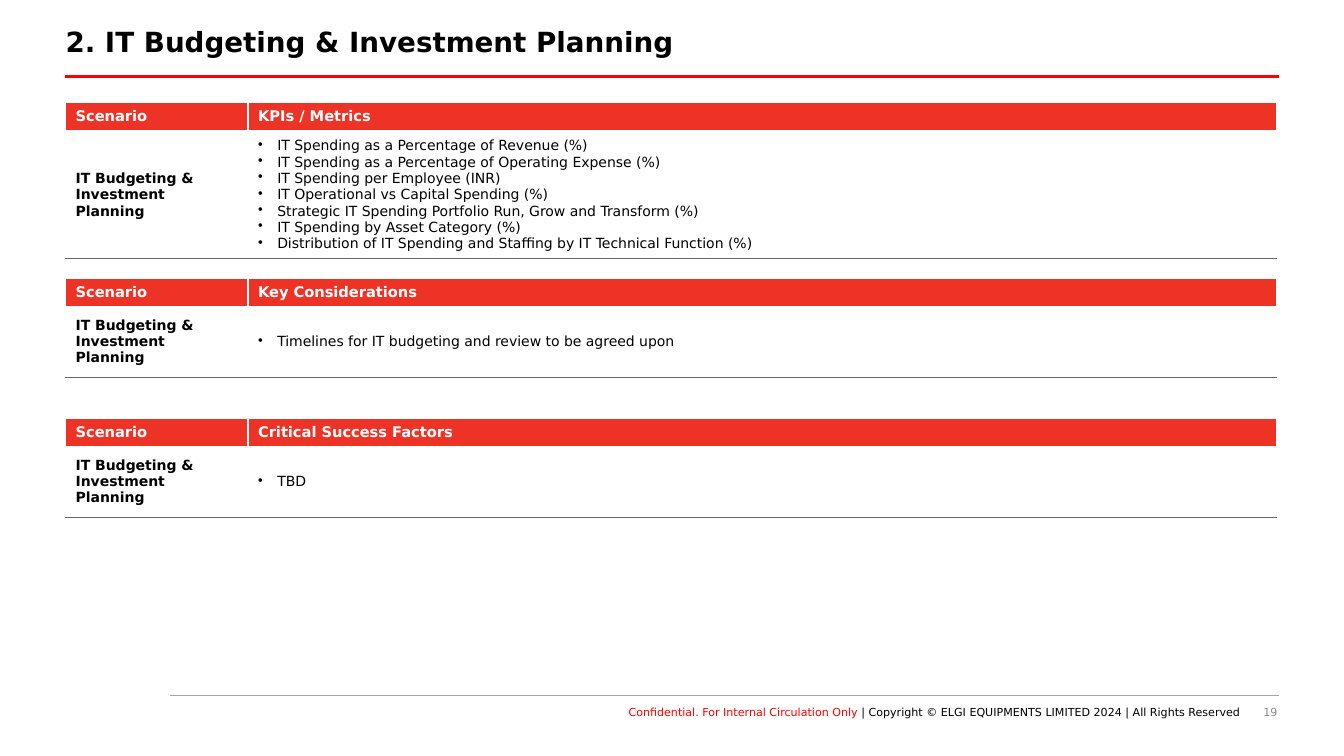
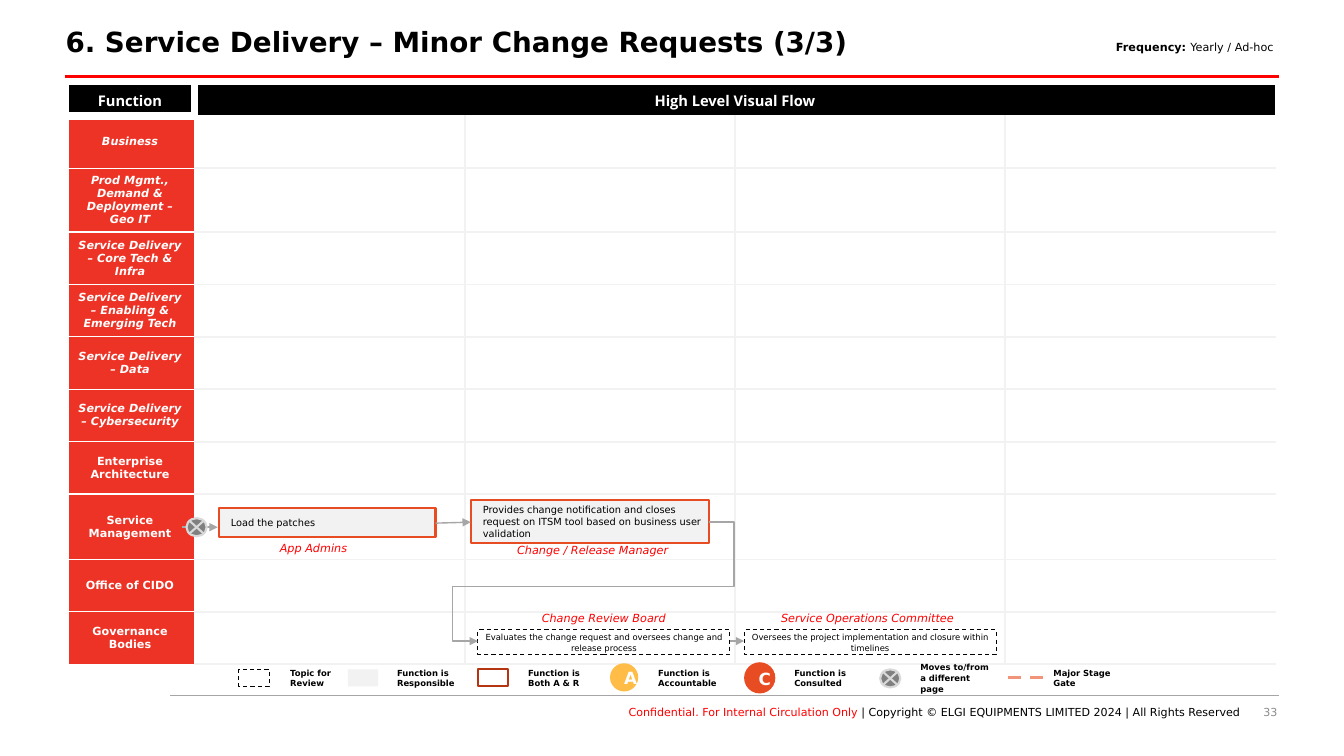
import lxml.etree
import pptx
import pptx.dml.color
import pptx.enum.dml
import pptx.enum.shapes
import pptx.enum.text
import pptx.oxml.ns
import pptx.util

Inches = pptx.util.Inches
Pt = pptx.util.Pt
SHAPE = pptx.enum.shapes.MSO_SHAPE
CONNECTOR = pptx.enum.shapes.MSO_CONNECTOR
ALIGN = pptx.enum.text.PP_ALIGN
MIDDLE = pptx.enum.text.MSO_ANCHOR.MIDDLE
DASH = pptx.enum.dml.MSO_LINE.DASH
qn = pptx.oxml.ns.qn

BLACK, WHITE, RED, BRAND = "000000", "FFFFFF", "FF0000", "ED3326"
ORANGE, RUST, AMBER, SALMON = "E84C22", "B53513", "FFBD47", "F1947A"
PALE, SILVER, GRAY, MID, RULE = "F2F2F2", "D9D9D9", "A6A6A6", "808080", "666666"
BODY_FONT, HEAD_FONT = "DejaVu Sans", "Open Sans"


def rgb(value):
    return pptx.dml.color.RGBColor.from_string(value)


def add_xml(parent, tag, **attrs):
    return lxml.etree.SubElement(parent, qn(tag), {k: str(v) for k, v in attrs.items()})


def write(tf, *paragraphs, size=8, color=BLACK, bold=False, italic=False,
          font=BODY_FONT, align=ALIGN.LEFT, spacing=None, bullet=False):
    for i, runs in enumerate(paragraphs):
        p = tf.paragraphs[0] if i == 0 else tf.add_paragraph()
        if bullet:
            pPr = p._p.get_or_add_pPr()
            pPr.set("marL", str(Inches(0.19)))
            pPr.set("indent", str(-Inches(0.19)))
            add_xml(pPr, "a:buChar", char="•")
        p.alignment = align
        if spacing:
            p.line_spacing = spacing
        for text, change in [(runs, {})] if isinstance(runs, str) else runs:
            r = p.add_run()
            r.text = text
            r.font.name = font
            r.font.size = Pt(size)
            r.font.italic = italic
            r.font.bold = change.get("bold", bold)
            r.font.color.rgb = rgb(change.get("color", color))


def set_borders(cell, **sides):
    tcPr = cell._tc.get_or_add_tcPr()
    position = 0
    for side in "LRTB":
        if side not in sides:
            continue
        color, width = sides[side]
        ln = add_xml(tcPr, "a:ln" + side, w=Pt(width))
        add_xml(add_xml(ln, "a:solidFill"), "a:srgbClr", val=color)
        tcPr.insert(position, ln)
        position += 1


class Deck:
    def __init__(self):
        self.prs = pptx.Presentation()
        self.prs.slide_width = Inches(13.33)
        self.prs.slide_height = Inches(7.5)
        self.s = None

    def new_slide(self, title, number):
        self.s = self.prs.slides.add_slide(self.prs.slide_layouts[6])
        self.text(9.67, 7, 3, 0.2, str(number), size=7.9, color="8C8C8C",
                  align=ALIGN.RIGHT, insets=(0, 0, 0, 0))
        self.text(2.46, 7, 9.84, 0.2,
                  [("Confidential. For Internal Circulation Only ", {"color": RED}),
                   ("| Copyright © ELGI EQUIPMENTS LIMITED 2024 | All Rights Reserved", {})],
                  size=7.9, align=ALIGN.RIGHT, insets=(0, 0, 0, 0))
        self.line((1.69, 6.9), (12.69, 6.9), GRAY, 0.5)
        self.line((0.64, 0.76), (12.69, 0.76), RED, 2.25)
        self.text(0.65, 0.23, 12.01, 0.41, title, size=19.8, bold=True,
                  spacing=0.9, insets=(0, 0.05, 0.1, 0.05))

    def frame(self, tf, insets, anchor=None, wrap=True):
        tf.word_wrap = wrap
        (tf.margin_left, tf.margin_top,
         tf.margin_right, tf.margin_bottom) = map(Inches, insets)
        if anchor is not None:
            tf.vertical_anchor = anchor

    def text(self, x, y, w, h, *paragraphs, insets=(0.1, 0.05, 0.1, 0.05),
             anchor=None, wrap=True, **fmt):
        sp = self.s.shapes.add_textbox(Inches(x), Inches(y), Inches(w), Inches(h))
        self.frame(sp.text_frame, insets, anchor, wrap)
        write(sp.text_frame, *paragraphs, **fmt)

    def shape(self, kind, x, y, w, h, text=None, fill=None, line=None, width=1.5,
              dash=False, insets=(0.1, 0.1, 0.1, 0.1), **fmt):
        sp = self.s.shapes.add_shape(kind, Inches(x), Inches(y), Inches(w), Inches(h))
        sp.shadow.inherit = False
        if fill:
            sp.fill.solid()
            sp.fill.fore_color.rgb = rgb(fill)
        else:
            sp.fill.background()
        if line:
            sp.line.color.rgb = rgb(line)
            sp.line.width = Pt(width)
            if dash:
                sp.line.dash_style = DASH
        else:
            sp.line.fill.background()
        if text:
            self.frame(sp.text_frame, insets, MIDDLE)
            write(sp.text_frame, text, **fmt)

    def line(self, start, end, color=GRAY, width=1, dash=False, arrow=False, bends=None):
        kind = CONNECTOR.ELBOW if bends else CONNECTOR.STRAIGHT
        c = self.s.shapes.add_connector(kind, *map(Inches, start + end))
        c.line.color.rgb = rgb(color)
        c.line.width = Pt(width)
        if dash:
            c.line.dash_style = DASH
        spPr = c._element.spPr
        if arrow:
            add_xml(spPr.find(qn("a:ln")), "a:tailEnd", type="triangle")
        add_xml(spPr, "a:effectLst")
        if bends:
            geom = spPr.find(qn("a:prstGeom"))
            geom.set("prst", "bentConnector5")
            guides = geom.find(qn("a:avLst"))
            if guides is None:
                guides = add_xml(geom, "a:avLst")
            for i, value in enumerate(bends, 1):
                add_xml(guides, "a:gd", name=f"adj{i}", fmla=f"val {value}")

    def table(self, x, y, cols, rows):
        frame = self.s.shapes.add_table(len(rows), len(cols), Inches(x), Inches(y),
                                        Inches(sum(cols)), Inches(sum(rows)))
        table = frame.table
        table.first_row = table.horz_banding = False
        for column, width in zip(table.columns, cols):
            column.width = Inches(width)
        for row, height in zip(table.rows, rows):
            row.height = Inches(height)
        return table

    def cell(self, cell, *paragraphs, fill=None, borders=None, **fmt):
        cell.vertical_anchor = MIDDLE
        if fill:
            cell.fill.solid()
            cell.fill.fore_color.rgb = rgb(fill)
        else:
            cell.fill.background()
        set_borders(cell, **(borders or {}))
        write(cell.text_frame, *paragraphs, **fmt)

    def scenario_table(self, y, heading, items, body_height):
        table = self.table(0.65, y, [1.81, 10.2], [0.28, body_height])
        edge = (WHITE, 1)
        head = dict(L=edge, R=edge, T=edge, B=edge)
        body = dict(head, B=(RULE, 0.75))
        for col, label in enumerate(("Scenario", heading)):
            self.cell(table.cell(0, col), label, fill=BRAND, borders=head,
                      size=10.5, color=WHITE, bold=True)
        self.cell(table.cell(1, 0), "IT Budgeting & Investment Planning",
                  borders=body, size=10, bold=True)
        self.cell(table.cell(1, 1), *items, borders=body, size=10, bullet=True)

    def swimlanes(self, lanes):
        table = self.table(0.65, 0.84, [1.28] + [2.68] * 4,
                           [0.31] + [height for _, height, _ in lanes])
        thick, thin, grid = (WHITE, 6), (WHITE, 1), (PALE, 1.5)
        head = dict(fill=BLACK, size=10.5, color=WHITE, bold=True,
                    font=HEAD_FONT, align=ALIGN.CENTER)
        self.cell(table.cell(0, 0), "Function",
                  borders=dict(L=thick, R=thick, T=thin, B=thick), **head)
        table.cell(0, 1).merge(table.cell(0, 4))
        self.cell(table.cell(0, 1), "High Level Visual Flow",
                  borders=dict(L=thick, T=thin), **head)
        for row, (name, _, italic) in enumerate(lanes, 1):
            self.cell(table.cell(row, 0), name, fill=BRAND, size=8, color=WHITE,
                      bold=True, italic=italic, align=ALIGN.CENTER,
                      borders=dict(L=thick, T=thick if row == 1 else thin, B=thin))
            for col in range(1, 5):
                borders = dict(B=grid)
                if row > 1:
                    borders["T"] = grid
                if col > 1:
                    borders["L"] = grid
                if col < 4:
                    borders["R"] = grid
                self.cell(table.cell(row, col), borders=borders)

    def step(self, x, y, w, h, text):
        self.shape(SHAPE.RECTANGLE, x, y, w, h, text, fill=PALE, line=ORANGE,
                   insets=(0.12, 0, 0, 0), size=7)

    def review(self, x, text):
        self.shape(SHAPE.RECTANGLE, x, 6.25, 2.5, 0.24, text, fill=WHITE, line=BLACK,
                   width=0.75, dash=True, insets=(0.05, 0, 0.05, 0), size=6,
                   align=ALIGN.CENTER, spacing=1.06)

    def role(self, x, y, w, text):
        self.text(x, y, w, 0.24, text, color=RED, italic=True,
                  align=ALIGN.CENTER, wrap=False)

    def junction(self, x, y):
        self.shape(SHAPE.FLOWCHART_SUMMING_JUNCTION, x, y, 0.2, 0.18,
                   fill=MID, line=SILVER)

    def legend(self):
        for x, style in ((2.37, dict(line=BLACK, width=0.75, dash=True)),
                         (3.45, dict(fill=PALE)),
                         (4.74, dict(line=RUST))):
            self.shape(SHAPE.RECTANGLE, x, 6.64, 0.3, 0.17, **style)
        for x, y, size, letter, fill in ((6.05, 6.58, 0.28, "A", AMBER),
                                         (7.38, 6.57, 0.31, "C", ORANGE)):
            self.shape(SHAPE.OVAL, x, y, size, size, letter, fill=fill, size=12,
                       color=WHITE, bold=True, align=ALIGN.CENTER, spacing=1.06)
        self.junction(8.73, 6.64)
        self.line((10, 6.72), (10.35, 6.72), SALMON, 2.25, dash=True)
        for x, *label in ((2.78, "Topic for", "Review"),
                          (3.84, "Function is Responsible"),
                          (5.14, "Function is Both A & R"),
                          (6.43, "Function is Accountable"),
                          (7.78, "Function is Consulted"),
                          (9.03, "Moves to/from a different page"),
                          (10.35, "Major Stage Gate")):
            self.text(x, 6.56, 0.9, 0.33, *label, size=6, bold=True, spacing=1.06,
                      anchor=MIDDLE, insets=(0.1, 0.1, 0.1, 0.1))


def build_budgeting(deck):
    deck.new_slide("2. IT Budgeting & Investment Planning", 19)
    deck.scenario_table(1.02, "KPIs / Metrics", [
        "IT Spending as a Percentage of Revenue (%)",
        "IT Spending as a Percentage of Operating Expense (%)",
        "IT Spending per Employee (INR)",
        "IT Operational vs Capital Spending (%)",
        "Strategic IT Spending Portfolio Run, Grow and Transform (%)",
        "IT Spending by Asset Category (%)",
        "Distribution of IT Spending and Staffing by IT Technical Function (%)"], 1.25)
    deck.scenario_table(2.76, "Key Considerations",
                        ["Timelines for IT budgeting and review to be agreed upon"], 0.7)
    deck.scenario_table(4.15, "Critical Success Factors", ["TBD"], 0.7)


def build_change_requests(deck):
    deck.new_slide("6. Service Delivery – Minor Change Requests (3/3)", 33)
    deck.swimlanes([
        ("Business", 0.52, True),
        ("Prod Mgmt., Demand & Deployment – Geo IT", 0.62, True),
        ("Service Delivery – Core Tech & Infra", 0.52, True),
        ("Service Delivery – Enabling & Emerging Tech", 0.52, True),
        ("Service Delivery – Data", 0.52, True),
        ("Service Delivery – Cybersecurity", 0.52, True),
        ("Enterprise Architecture", 0.52, False),
        ("Service Management", 0.65, False),
        ("Office of CIDO", 0.52, False),
        ("Governance Bodies", 0.52, False)])
    deck.legend()
    deck.line((1.81, 5.23), (2.16, 5.23), arrow=True)
    deck.junction(1.85, 5.14)
    deck.step(2.17, 5.04, 2.15, 0.29, "Load the patches")
    deck.step(4.67, 4.96, 2.36, 0.43, "Provides change notification and closes request "
              "on ITSM tool based on business user validation")
    deck.line((4.32, 5.19), (4.67, 5.18), arrow=True)
    deck.review(4.74, "Evaluates the change request and oversees change and release process")
    deck.review(7.38, "Oversees the project implementation and closure within timelines")
    deck.line((7.03, 5.18), (4.74, 6.36), arrow=True, bends=(-10900, 54100, 110900))
    deck.line((7.24, 6.36), (7.38, 6.36), arrow=True)
    deck.role(2.67, 5.32, 0.88, "App Admins")
    deck.role(5.0, 5.34, 1.76, "Change / Release Manager")
    deck.role(5.27, 6.02, 1.44, "Change Review Board")
    deck.role(7.62, 6.02, 1.97, "Service Operations Committee")
    deck.text(10.97, 0.35, 1.85, 0.24,
              [("Frequency: ", {"bold": True}), ("Yearly / Ad-hoc", {})])


def main():
    deck = Deck()
    build_budgeting(deck)
    build_change_requests(deck)
    deck.prs.save("out.pptx")


if __name__ == "__main__":
    main()
